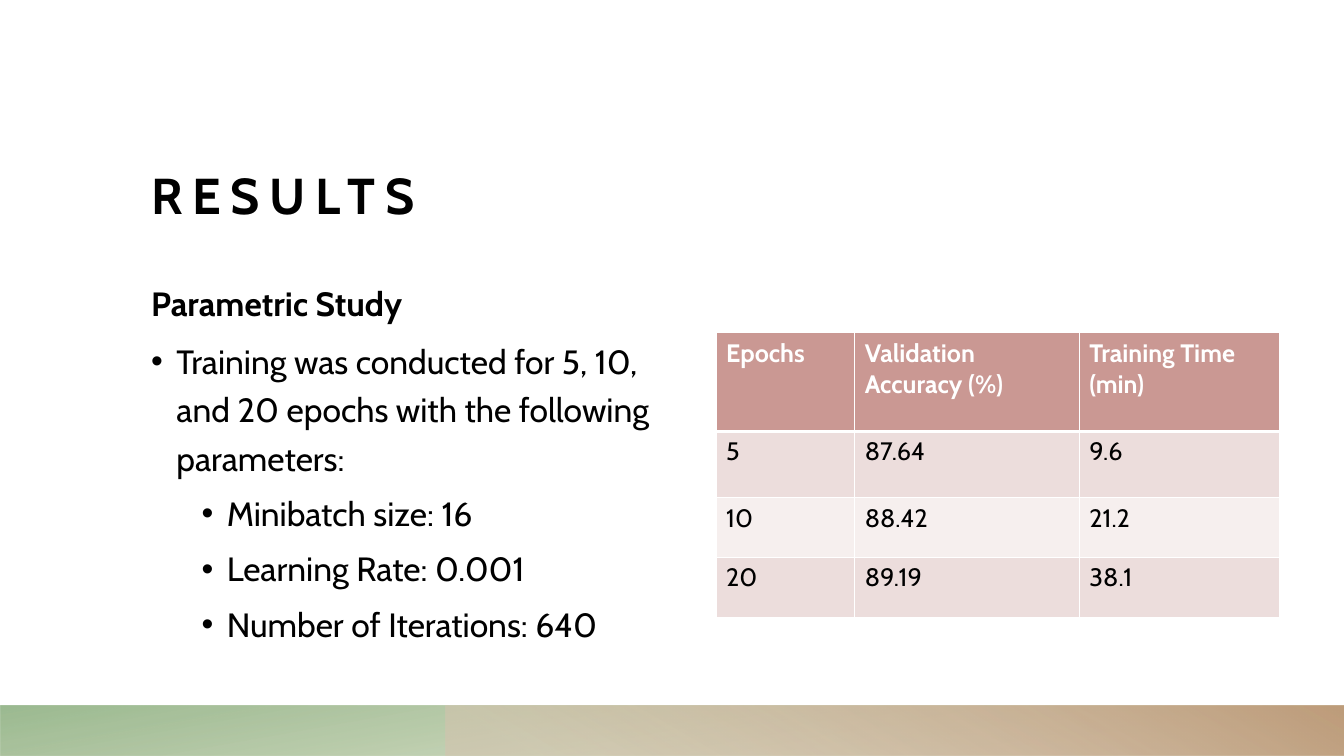
from dataclasses import dataclass

from pptx import Presentation
from pptx.dml.color import RGBColor
from pptx.enum.shapes import MSO_SHAPE
from pptx.enum.text import MSO_ANCHOR
from pptx.oxml import parse_xml
from pptx.oxml.ns import nsdecls
from pptx.util import Pt

PX = 9525
FONT = "Cabin"
BLACK = RGBColor(0x00, 0x00, 0x00)
WHITE = RGBColor(0xFF, 0xFF, 0xFF)
ROSE = RGBColor(0xCA, 0x98, 0x93)
ROSE_LIGHT = RGBColor(0xEC, 0xDD, 0xDC)
ROSE_PALE = RGBColor(0xF6, 0xEF, 0xEE)
OLIVE = RGBColor(0x97, 0xAB, 0x6F)
GREEN = RGBColor(0x8A, 0xAE, 0x7E)
SAND = RGBColor(0xD8, 0xC4, 0xB0)
BROWN = RGBColor(0xBE, 0x9D, 0x7B)


@dataclass(frozen=True)
class Box:
    x: int
    y: int
    w: int
    h: int

    def emu(self) -> tuple[int, ...]:
        return tuple(v * PX for v in (self.x, self.y, self.w, self.h))


@dataclass(frozen=True)
class Stop:
    pos: int
    color: RGBColor
    alpha: int = 100


@dataclass(frozen=True)
class Bar:
    box: Box
    stops: tuple[Stop, ...]
    angle: int
    rotation: int = 0


@dataclass(frozen=True)
class Para:
    text: str
    size: int = 24
    bold: bool = False
    line: float = 1.2
    before: int = 10
    level: int = 0
    indent: int = 0
    spacing: int = 0


@dataclass(frozen=True)
class TextBlock:
    box: Box
    anchor: MSO_ANCHOR
    paras: tuple[Para, ...]


BARS = (
    Bar(Box(0, 672, 1280, 48), (Stop(14, OLIVE, 28), Stop(100, GREEN, 85)), 100, 180),
    Bar(Box(424, 672, 856, 48), (Stop(9, SAND, 55), Stop(99, BROWN)), 240),
)
PARAMETERS = ("Minibatch size: 16", "Learning Rate: 0.001", "Number of Iterations: 640")
BLOCKS = (
    TextBlock(Box(144, 84, 1075, 130), MSO_ANCHOR.BOTTOM,
              (Para("RESULTS", size=36, bold=True, line=1.0, before=0, spacing=7),)),
    TextBlock(Box(144, 222, 508, 86), MSO_ANCHOR.BOTTOM,
              (Para("Parametric Study", bold=True),)),
    TextBlock(Box(144, 317, 508, 326), MSO_ANCHOR.TOP,
              (Para("Training was conducted for 5, 10, and 20 epochs with the "
                    "following parameters:", indent=24),
               *(Para(t, before=5, level=1, indent=72) for t in PARAMETERS))),
)
TABLE_BOX = Box(682, 317, 537, 271)
COLUMNS = (132, 214, 191)
ROWS = (94, 63, 57, 57)
CELLS = (
    ("Epochs", "Validation Accuracy (%)", "Training Time (min)"),
    ("5", "87.64", "9.6"),
    ("10", "88.42", "21.2"),
    ("20", "89.19", "38.1"),
)


def set_font(r, size: int, bold: bool, color: RGBColor) -> None:
    for name, value in {"name": FONT, "size": Pt(size), "bold": bold}.items():
        setattr(r.font, name, value)
    r.font.color.rgb = color


def add_bar(s, bar: Bar) -> None:
    sp = s.shapes.add_shape(MSO_SHAPE.RECTANGLE, *bar.box.emu())
    sp.shadow.inherit = False
    sp.line.fill.background()
    sp.rotation = bar.rotation
    stops = "".join(
        f'<a:gs pos="{st.pos * 1000}"><a:srgbClr val="{st.color}">'
        f'<a:alpha val="{st.alpha * 1000}"/></a:srgbClr></a:gs>'
        for st in bar.stops
    )
    spPr = sp._element.spPr
    spPr.xfrm.set("flipH", "1")
    spPr.prstGeom.addnext(parse_xml(
        f'<a:gradFill {nsdecls("a")} rotWithShape="1"><a:gsLst>{stops}</a:gsLst>'
        f'<a:lin ang="{bar.angle * 60000}" scaled="0"/></a:gradFill>'
    ))


def add_paragraph(p, para: Para) -> None:
    formats = {"line_spacing": para.line, "space_before": Pt(para.before), "level": para.level}
    for name, value in formats.items():
        setattr(p, name, value)
    r = p.add_run()
    r.text = para.text
    set_font(r, para.size, para.bold, BLACK)
    if para.spacing:
        r.font._element.set("spc", str(para.spacing * 100))
    if para.indent:
        pPr = p._p.get_or_add_pPr()
        pPr.set("marL", str(para.indent * PX))
        pPr.set("indent", str(-24 * PX))
        for bullet in ('buFont {} typeface="Arial"', 'buChar {} char="•"'):
            pPr.append(parse_xml(f'<a:{bullet.format(nsdecls("a"))}/>'))


def add_text(s, block: TextBlock) -> None:
    tf = s.shapes.add_textbox(*block.box.emu()).text_frame
    formats = {"word_wrap": True, "vertical_anchor": block.anchor, "margin_left": 0,
               "margin_top": 0, "margin_right": 0, "margin_bottom": 0}
    for name, value in formats.items():
        setattr(tf, name, value)
    for i, para in enumerate(block.paras):
        add_paragraph(tf.add_paragraph() if i else tf.paragraphs[0], para)


def set_borders(cell, widths: dict[str, int]) -> None:
    tcPr = cell._tc.get_or_add_tcPr()
    for i, (side, width) in enumerate(widths.items()):
        tcPr.insert(i, parse_xml(
            f'<a:ln{side} {nsdecls("a")} w="{Pt(width)}"><a:solidFill>'
            f'<a:srgbClr val="{WHITE}"/></a:solidFill></a:ln{side}>'
        ))


def add_results_table(s) -> None:
    table = s.shapes.add_table(len(ROWS), len(COLUMNS), *TABLE_BOX.emu()).table
    for column, width in zip(table.columns, COLUMNS):
        column.width = width * PX
    for row, height in zip(table.rows, ROWS):
        row.height = height * PX
    for i, texts in enumerate(CELLS):
        header = i == 0
        fill = ROSE if header else ROSE_LIGHT if i % 2 else ROSE_PALE
        for j, text in enumerate(texts):
            cell = table.cell(i, j)
            cell.fill.solid()
            cell.fill.fore_color.rgb = fill
            set_borders(cell, {"L": 1, "R": 1, "T": 3 if i == 1 else 1, "B": 3 if header else 1})
            r = cell.text_frame.paragraphs[0].add_run()
            r.text = text
            set_font(r, 18, header, WHITE if header else BLACK)


def main() -> None:
    prs = Presentation()
    prs.slide_width, prs.slide_height = 1280 * PX, 720 * PX
    s = prs.slides.add_slide(prs.slide_layouts[6])
    for bar in BARS:
        add_bar(s, bar)
    for block in BLOCKS:
        add_text(s, block)
    add_results_table(s)
    prs.save("out.pptx")


if __name__ == "__main__":
    main()
